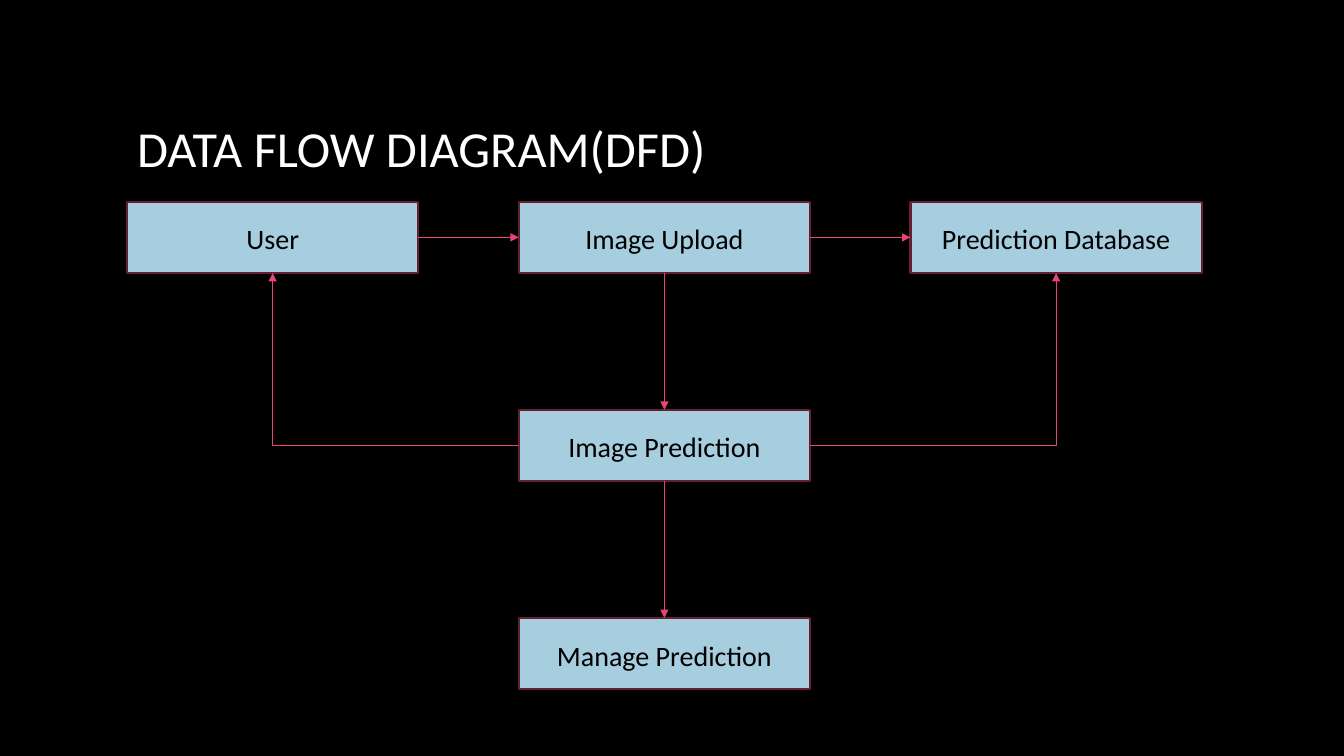
from lxml.etree import SubElement
from pptx import Presentation
from pptx.dml.color import RGBColor
from pptx.enum.shapes import MSO_CONNECTOR, MSO_SHAPE
from pptx.enum.text import MSO_ANCHOR, PP_ALIGN
from pptx.oxml.ns import qn
from pptx.util import Inches, Pt

BLACK = RGBColor(0x00, 0x00, 0x00)
WHITE = RGBColor(0xFF, 0xFF, 0xFF)
LIGHT_BLUE = RGBColor(0xA6, 0xCE, 0xDE)
MAROON = RGBColor(0x66, 0x1E, 0x33)
PINK = RGBColor(0xE8, 0x45, 0x74)

FONT = "Calibri"
BOX_WIDTH, BOX_HEIGHT = 2.89, 0.71
GRID_LEFT, GRID_TOP = 1.26, 2.0
COLUMN_STEP, ROW_STEP = 3.885, 2.065
TOP, LEFT, BOTTOM, RIGHT = range(4)

BOXES = {
    "User": (0, 0),
    "Image Upload": (1, 0),
    "Prediction Database": (2, 0),
    "Image Prediction": (1, 1),
    "Manage Prediction": (1, 2),
}
FLOWS = [
    ("User", RIGHT, "Image Upload", LEFT),
    ("Image Upload", RIGHT, "Prediction Database", LEFT),
    ("Image Prediction", LEFT, "User", BOTTOM),
    ("Image Prediction", RIGHT, "Prediction Database", BOTTOM),
    ("Image Upload", BOTTOM, "Image Prediction", TOP),
    ("Image Prediction", BOTTOM, "Manage Prediction", TOP),
]


def add_run(paragraph, text, size, color):
    """Add one formatted run to a paragraph."""
    run = paragraph.add_run()
    run.text = text
    run.font.name = FONT
    run.font.size = Pt(size)
    run.font.color.rgb = color


def format_title(slide, text):
    """Place and fill the title placeholder."""
    title = slide.shapes.title
    title.left, title.top = Inches(1.26), Inches(0.67)
    title.width, title.height = Inches(10.4), Inches(1.59)
    title.text_frame.vertical_anchor = MSO_ANCHOR.MIDDLE
    paragraph = title.text_frame.paragraphs[0]
    paragraph.alignment = PP_ALIGN.LEFT
    add_run(paragraph, text, 36, WHITE)


def add_box(slide, text, column, row):
    """Add a labelled box at a grid position."""
    shape = slide.shapes.add_shape(
        MSO_SHAPE.RECTANGLE,
        Inches(GRID_LEFT + column * COLUMN_STEP),
        Inches(GRID_TOP + row * ROW_STEP),
        Inches(BOX_WIDTH),
        Inches(BOX_HEIGHT),
    )
    shape.shadow.inherit = False
    shape.fill.solid()
    shape.fill.fore_color.rgb = LIGHT_BLUE
    shape.line.color.rgb = MAROON
    shape.line.width = Pt(1.5)
    shape.text_frame.word_wrap = True
    shape.text_frame.vertical_anchor = MSO_ANCHOR.MIDDLE
    paragraph = shape.text_frame.paragraphs[0]
    paragraph.alignment = PP_ALIGN.CENTER
    paragraph.line_spacing = 1.07
    paragraph.space_after = Pt(8)
    add_run(paragraph, text, 20, BLACK)
    return shape


def add_flow(slide, source, source_side, target, target_side):
    """Connect two boxes with an arrow, bent once if the sides are not opposite."""
    bent = (source_side - target_side) % 2 == 1
    kind = MSO_CONNECTOR.ELBOW if bent else MSO_CONNECTOR.STRAIGHT
    connector = slide.shapes.add_connector(kind, 0, 0, 0, 0)
    connector.begin_connect(source, source_side)
    connector.end_connect(target, target_side)
    connector.line.color.rgb = PINK
    connector.line.width = Pt(0.75)
    properties = connector._element.spPr
    if bent:
        properties.find(qn("a:prstGeom")).set("prst", "bentConnector2")
    SubElement(properties.find(qn("a:ln")), qn("a:tailEnd"), type="triangle")
    SubElement(properties, qn("a:effectLst"))


def main():
    """Build the data flow diagram slide."""
    presentation = Presentation()
    presentation.slide_width = Inches(13.33)
    presentation.slide_height = Inches(7.5)
    slide = presentation.slides.add_slide(presentation.slide_layouts[5])
    slide.background.fill.solid()
    slide.background.fill.fore_color.rgb = BLACK
    format_title(slide, "DATA FLOW DIAGRAM(DFD)")
    boxes = {
        text: add_box(slide, text, column, row)
        for text, (column, row) in BOXES.items()
    }
    for source, source_side, target, target_side in FLOWS:
        add_flow(slide, boxes[source], source_side, boxes[target], target_side)
    presentation.save("out.pptx")


if __name__ == "__main__":
    main()
